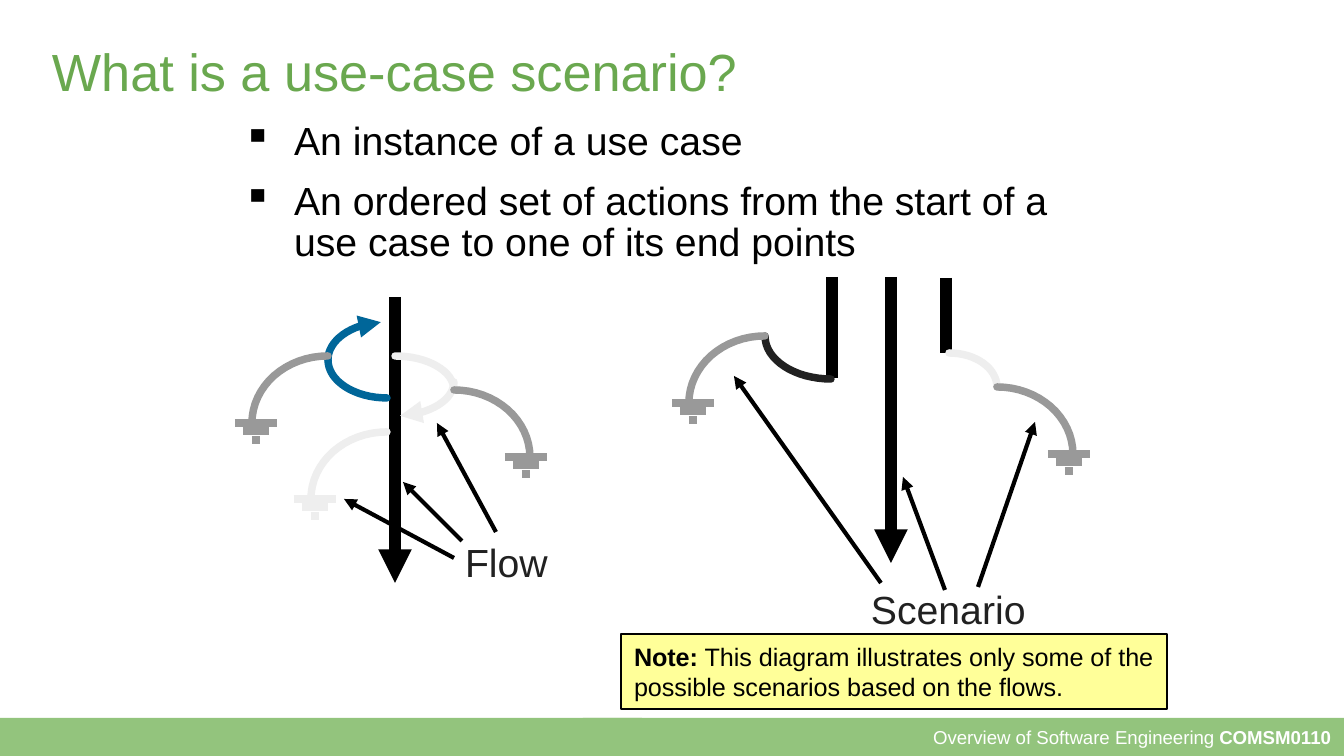
import math
from lxml import etree
from pptx import Presentation
from pptx.dml.color import RGBColor
from pptx.enum.shapes import MSO_CONNECTOR, MSO_SHAPE
from pptx.enum.text import MSO_ANCHOR, PP_ALIGN
from pptx.oxml.ns import qn
from pptx.util import Pt

PX = 914400 / 134.4
STRAIGHT, RECTANGLE = MSO_CONNECTOR.STRAIGHT, MSO_SHAPE.RECTANGLE
TOP, MIDDLE = MSO_ANCHOR.TOP, MSO_ANCHOR.MIDDLE
LEFT, RIGHT = PP_ALIGN.LEFT, PP_ALIGN.RIGHT
COLORS = {
    "title": "6AA84F", "footer": "93C47D", "black": "000000", "dark": "212121",
    "grey": "999999", "light": "EEEEEE", "blue": "006699", "note": "FFFF99",
    "white": "FFFFFF",
}

presentation = Presentation()
presentation.slide_width = round(1344 * PX)
presentation.slide_height = round(756 * PX)
slide = presentation.slides.add_slide(presentation.slide_layouts[6])
shapes = slide.shapes


def style_line(shape, color, width, arrow=False, cap="flat"):
    shape.line.color.rgb = RGBColor.from_string(COLORS[color])
    shape.line.width = Pt(width)
    outline = shape.line._get_or_add_ln()
    outline.set("cap", cap)
    if arrow:
        etree.SubElement(outline, qn("a:tailEnd"), type="triangle")
    properties = shape._element.spPr
    if properties.find(qn("a:effectLst")) is None:
        etree.SubElement(properties, qn("a:effectLst"))


def write_text(shape, paragraphs, size, color, insets, anchor=TOP, wrap=True, **paragraph_format):
    """Each paragraph is a list of (text, bold) runs."""
    frame = shape.text_frame
    margins = [round(inset * PX) for inset in insets]
    frame_format = {
        "word_wrap": wrap, "vertical_anchor": anchor,
        "margin_left": margins[0], "margin_right": margins[0],
        "margin_top": margins[1], "margin_bottom": margins[1],
    }
    for name, value in frame_format.items():
        setattr(frame, name, value)
    for index, runs in enumerate(paragraphs):
        paragraph = frame.add_paragraph() if index else frame.paragraphs[0]
        for name, value in {"alignment": LEFT, **paragraph_format}.items():
            setattr(paragraph, name, value)
        for text, bold in runs:
            run = paragraph.add_run()
            run.text = text
            for name, value in {"name": "Arial", "size": Pt(size), "bold": bold}.items():
                setattr(run.font, name, value)
            run.font.color.rgb = RGBColor.from_string(COLORS[color])


# Footer band and note: box, fill, outlined
boxes = []
for box, fill, outlined in [
    ((583, 718, 761, 38), "footer", False),
    ((0, 718, 642, 38), "footer", False),
    ((621, 634, 546, 75), "note", True),
]:
    shape = shapes.add_shape(RECTANGLE, *[round(length * PX) for length in box])
    shape.shadow.inherit = False
    shape.fill.solid()
    shape.fill.fore_color.rgb = RGBColor.from_string(COLORS[fill])
    if outlined:
        style_line(shape, "black", 0.75)
    else:
        shape.line.fill.background()
    boxes.append(shape)
footer, _, note = boxes
write_text(footer, [[("Overview of Software Engineering ", False), ("COMSM0110", True)]],
           10, "white", (13, 13), MIDDLE, alignment=RIGHT)
write_text(note, [[("Note:", True),
                   (" This diagram illustrates only some of the possible scenarios based on the flows.", False)]],
           13.5, "black", (13, 7), MIDDLE, space_before=Pt(8))

# Title, bullets and diagram labels
text_boxes = []
for box in [(39, 26, 1253, 84), (231, 117, 882, 155), (453, 532, 108, 59), (859, 579, 180, 59)]:
    text_boxes.append(shapes.add_textbox(*[round(length * PX) for length in box]))
title, bullets, flow_label, scenario_label = text_boxes
write_text(title, [[("What is a use-case scenario?", False)]], 28, "title", (13, 13))
write_text(bullets, [
    [("An instance of a use case", False)],
    [("An ordered set of actions from the start of a use case to one of its end points", False)],
], 21, "black", (12, 6), line_spacing=0.87, space_before=Pt(10))
for paragraph in bullets.text_frame.paragraphs:
    properties = paragraph._p.get_or_add_pPr()
    indent = round(51 * PX)
    properties.set("marL", str(indent))
    properties.set("indent", str(-indent))
    etree.SubElement(properties, qn("a:buChar"), char="▪")
for label, text in [(flow_label, "Flow"), (scenario_label, "Scenario")]:
    write_text(label, [[(text, False)]], 21, "dark", (12, 6), wrap=False)

# Straight lines: start, end, color, width, arrow
lines = [
    # Basic flows
    (395, 297, 395, 583, "black", 6, True),
    (891, 277, 891, 563, "black", 6, True),
    (832, 277, 832, 378, "black", 6, False),
    (946, 278, 946, 353, "black", 6, False),
    # Pointers from "Flow"
    (462, 541, 403, 482, "black", 2.25, True),
    (496, 532, 437, 423, "black", 2.25, True),
    (454, 558, 344, 499, "black", 2.25, True),
    # Pointers from "Scenario"
    (881, 583, 734, 376, "black", 2.25, True),
    (945, 590, 903, 477, "black", 2.25, True),
    (978, 587, 1035, 422, "black", 2.25, True),
]

# Arcs: center, radii, start and end angle (clockwise from the right), color, arrow
arcs = [
    (831, 336, 66, 43, 90, 180, "dark", False),
    (949, 387, 48, 34, 270, 360, "light", False),
    (395, 390, 59, 34, 270, 360, "light", False),
    (395, 382, 59, 34, 0, 85, "light", True),
    (387, 360, 59, 38, 90, 180, "blue", False),
    (387, 360, 59, 38, 180, 264, "blue", True),
]

# End points: a quarter arc that runs down to three shrinking bars
for center_x, center_y, side, color in [
    (765, 403, -1, "grey"), (997, 454, 1, "grey"),
    (454, 457, 1, "grey"), (387, 499, -1, "light"), (328, 423, -1, "grey"),
]:
    start = 180 if side < 0 else 270
    arcs.append((center_x, center_y, 76, 67, start, start + 90, color, False))
    middle = center_x + side * 72
    for half, drop in [(21, 0), (13, 8), (4, 17)]:
        lines.append((middle - half, center_y + drop, middle + half, center_y + drop, color, 4, False))

for *ends, color, width, arrow in lines:
    connector = shapes.add_connector(STRAIGHT, *[round(length * PX) for length in ends])
    style_line(connector, color, width, arrow)

STEPS = 16
for center_x, center_y, radius_x, radius_y, start, end, color, arrow in arcs:
    angles = [math.radians(start + (end - start) * step / STEPS) for step in range(STEPS + 1)]
    points = [((center_x + radius_x * math.cos(angle)) * PX,
               (center_y + radius_y * math.sin(angle)) * PX) for angle in angles]
    builder = shapes.build_freeform(*points[0])
    builder.add_line_segments(points[1:], close=False)
    arc = builder.convert_to_shape()
    arc.fill.background()
    style_line(arc, color, 4, arrow, "rnd")

presentation.save("out.pptx")
